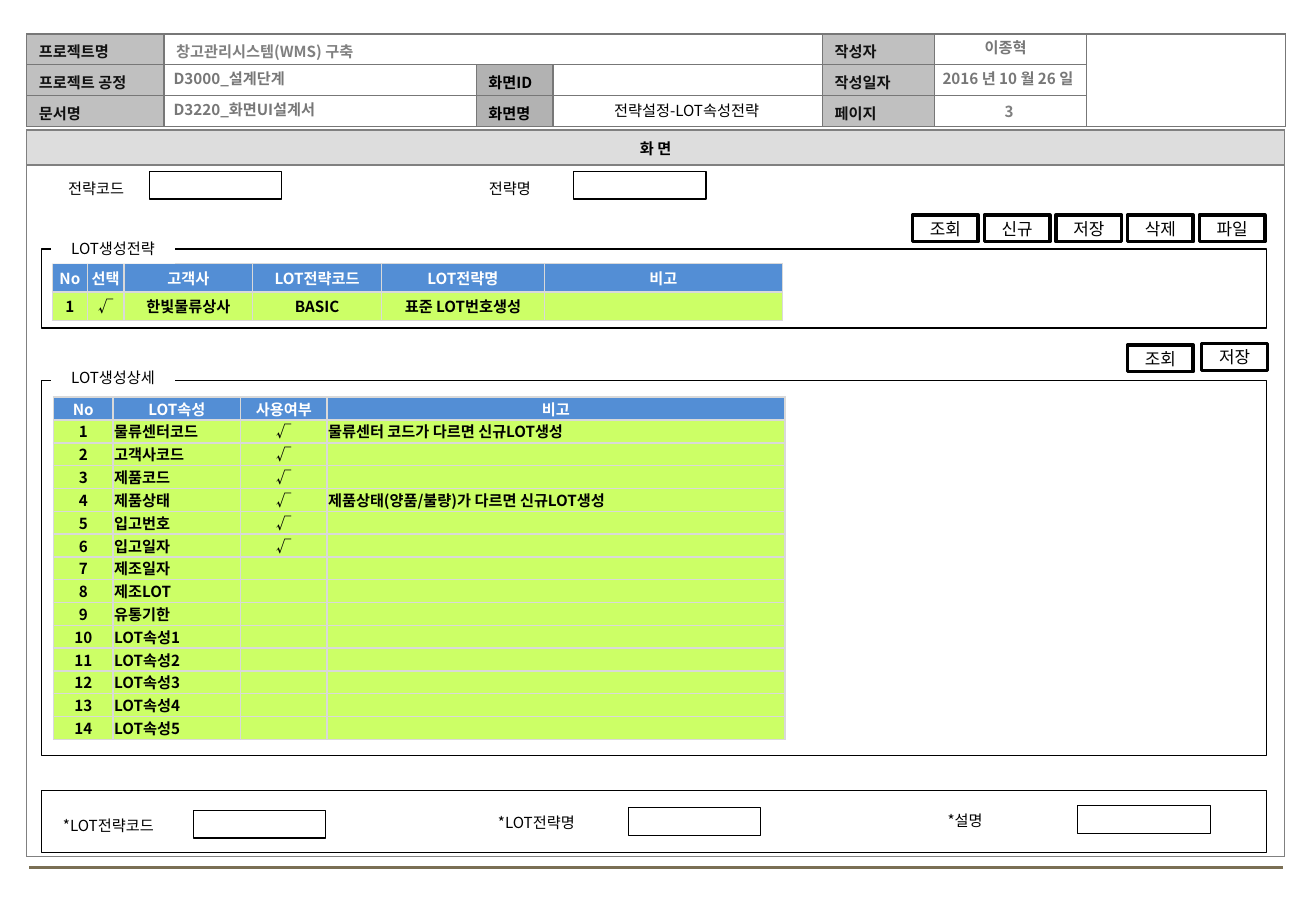
from lxml.etree import SubElement
from pptx import Presentation
from pptx.dml.color import RGBColor
from pptx.enum.shapes import MSO_CONNECTOR, MSO_SHAPE
from pptx.enum.text import MSO_ANCHOR as Anchor, MSO_AUTO_SIZE as AutoSize, PP_ALIGN as Align
from pptx.oxml.ns import qn
from pptx.util import Emu, Pt

EMU_PER_PX = 9144
FONT = "Noto Sans CJK KR"
BLACK, WHITE, GRAY = "000000", "FFFFFF", "777777"
LABEL_FILL, SCREEN_FILL = "C0C0C0", "B2B2B2"
HEAD_FILL, ROW_FILL, LIST_BORDER = "538ED5", "CCFF66", "D9D9D9"

HEADER_CELLS = [
    (0, 0, "프로젝트명", "111111", LABEL_FILL),
    (1, 0, "프로젝트 공정", "111111", LABEL_FILL),
    (2, 0, "문서명", "111111", LABEL_FILL),
    (0, 1, "창고관리시스템(WMS) 구축", "808080", None),
    (1, 2, "화면ID", BLACK, SCREEN_FILL),
    (2, 2, "화면명", BLACK, SCREEN_FILL),
    (0, 4, "작성자", "111111", LABEL_FILL),
    (1, 4, "작성일자", "111111", LABEL_FILL),
    (2, 4, "페이지", "111111", LABEL_FILL),
]
HEADER_VALUES = [
    ("D3000_설계단계", (133, 52, 542, 25), GRAY, Align.LEFT),
    ("D3220_화면UI설계서", (133, 78, 541, 25), GRAY, Align.LEFT),
    ("이종혁", (749, 27, 157, 25), GRAY, Align.CENTER),
    ("2016 년 10 월 26 일", (751, 52, 157, 25), GRAY, Align.CENTER),
    ("3", (768, 79, 125, 25), "7F7F7F", Align.CENTER),
]
STRATEGY_ROWS = [
    ("No", "선택", "고객사", "LOT전략코드", "LOT전략명", "비고"),
    ("1", "√", "한빛물류상사", "BASIC", "표준 LOT번호생성", ""),
]
ATTRIBUTES = ["물류센터코드", "고객사코드", "제품코드", "제품상태", "입고번호", "입고일자",
              "제조일자", "제조LOT", "유통기한"] + [f"LOT속성{n}" for n in range(1, 6)]
USED_COUNT = 6
REMARKS = {1: "물류센터 코드가 다르면 신규LOT생성", 4: "제품상태(양품/불량)가 다르면 신규LOT생성"}


def px(length):
    """Turn px into EMU."""
    return Emu(round(length * EMU_PER_PX))


def color(value):
    """Turn a hex string into a colour."""
    return RGBColor.from_string(value)


def paint(fill, value):
    """Fill with a colour, or with nothing."""
    if value:
        fill.solid()
        fill.fore_color.rgb = color(value)
    else:
        fill.background()


def write(frame, text, size=9, ink=BLACK, bold=False, align=Align.LEFT):
    """Write one formatted paragraph into a text frame."""
    paragraph = frame.paragraphs[0]
    paragraph.alignment = align
    if not text:
        SubElement(paragraph._p, qn("a:endParaRPr"), sz=str(size * 100))
        return
    run = paragraph.add_run()
    run.text = text
    run.font.size = Pt(size)
    run.font.bold = bold
    run.font.name = FONT
    run.font.color.rgb = color(ink)
    SubElement(run._r.get_or_add_rPr(), qn("a:ea"), typeface=FONT)


def add_text(slide, text, place, **style):
    """Add a wrapped text box."""
    frame = slide.shapes.add_textbox(*map(px, place)).text_frame
    frame.word_wrap = True
    write(frame, text, **style)


def add_box(slide, place, fill=None, line=BLACK, weight=0.75):
    """Add a plain rectangle."""
    shape = slide.shapes.add_shape(MSO_SHAPE.RECTANGLE, *map(px, place))
    shape.shadow.inherit = False
    paint(shape.fill, fill)
    paint(shape.line.fill, line)
    if line:
        shape.line.width = Pt(weight)
    return shape


def add_button(slide, text, left, top):
    """Add a thick-framed button."""
    frame = add_box(slide, (left, top, 54, 22), WHITE, weight=2).text_frame
    frame.margin_left = frame.margin_right = px(2)
    frame.margin_top = frame.margin_bottom = px(4)
    frame.word_wrap = False
    frame.vertical_anchor = Anchor.MIDDLE
    write(frame, text, size=10, align=Align.CENTER)


def add_section(slide, title, place, title_top):
    """Add a section frame with its title over the top edge."""
    add_box(slide, place)
    frame = add_box(slide, (42, title_top, 102, 25), WHITE, line=None).text_frame
    frame.vertical_anchor = Anchor.TOP
    write(frame, title, align=Align.CENTER)


def add_grid(slide, left, top, widths, heights):
    """Add an unstyled table and return it."""
    place = (left, top, sum(widths), sum(heights))
    table = slide.shapes.add_table(len(heights), len(widths), *map(px, place)).table
    table.first_row = table.horz_banding = False
    for column, width in zip(table.columns, widths):
        column.width = px(width)
    for row, height in zip(table.rows, heights):
        row.height = px(height)
    return table


def format_cell(cell, text="", fill=None, border=GRAY, margins=(0, 0, 0, 0), **style):
    """Set margins, borders, fill and text of a cell."""
    cell.margin_left, cell.margin_top, cell.margin_right, cell.margin_bottom = map(px, margins)
    cell.vertical_anchor = Anchor.MIDDLE
    properties = cell._tc.get_or_add_tcPr()
    for side in ("a:lnL", "a:lnR", "a:lnT", "a:lnB"):
        line = SubElement(properties, qn(side), w=str(Pt(1)))
        SubElement(SubElement(line, qn("a:solidFill")), qn("a:srgbClr"), val=border)
    paint(cell.fill, fill)
    write(cell.text_frame, text, bold=True, **style)


def add_list(slide, left, top, widths, height, rows, left_columns=()):
    """Add a list with a blue head and green rows."""
    table = add_grid(slide, left, top, widths, [height / len(rows)] * len(rows))
    for r, row in enumerate(rows):
        for c, text in enumerate(row):
            format_cell(table.cell(r, c), text, ROW_FILL if r else HEAD_FILL, LIST_BORDER,
                        margins=(1, 0, 1, 0), ink=BLACK if r else WHITE,
                        align=Align.LEFT if r and c in left_columns else Align.CENTER)


def add_header(slide):
    """Add the document header with its values."""
    table = add_grid(slide, 22, 28, [113, 257, 63, 222, 92, 125, 164], [76 / 3] * 3)
    table.cell(0, 1).merge(table.cell(0, 3))
    table.cell(0, 6).merge(table.cell(2, 6))
    labels = {(r, c): (text, ink, fill) for r, c, text, ink, fill in HEADER_CELLS}
    for r in range(3):
        for c in range(7):
            text, ink, fill = labels.get((r, c), ("", BLACK, None))
            format_cell(table.cell(r, c), text, fill, margins=(10, 4, 10, 1), ink=ink)
    for text, place, ink, align in HEADER_VALUES:
        add_text(slide, text, place, ink=ink, bold=True, align=align)


def add_screen_frame(slide):
    """Add the screen area and the line below it."""
    table = add_grid(slide, 22, 107, [1035], [29, 569])
    format_cell(table.cell(0, 0), "화 면", "DDDDDD", "808080", align=Align.CENTER)
    format_cell(table.cell(1, 0), border="808080")
    footer = slide.shapes.add_connector(MSO_CONNECTOR.STRAIGHT, px(24), px(714), px(1056), px(714))
    footer.line.color.rgb = color("7A6F54")
    footer.line.width = Pt(1.75)
    SubElement(footer._element.spPr, qn("a:effectLst"))


def format_title(title):
    """Place the screen name in the header."""
    title.left, title.top, title.width, title.height = map(px, (456, 78, 218, 25))
    frame = title.text_frame
    frame.auto_size = AutoSize.NONE
    frame.word_wrap = True
    frame.vertical_anchor = Anchor.TOP
    write(frame, "전략설정-LOT속성전략", align=Align.CENTER)


def main():
    """Build the screen design slide."""
    presentation = Presentation()
    presentation.slide_width, presentation.slide_height = px(1083), px(750)
    slide = presentation.slides.add_slide(presentation.slide_layouts[5])
    format_title(slide.shapes.title)
    add_header(slide)
    add_screen_frame(slide)

    for text, left, width, field_left in [("전략코드", 39, 80, 123), ("전략명", 367, 105, 472)]:
        add_text(slide, text, (left, 143, width, 25), align=Align.CENTER)
        add_box(slide, (field_left, 141, 109, 23), WHITE)

    add_list(slide, 43, 217, [29, 30, 106, 106, 134, 196], 47, STRATEGY_ROWS)
    add_section(slide, "LOT생성전략", (34, 205, 1008, 65), 192)
    for index, text in enumerate(["조회", "신규", "저장", "삭제", "파일"]):
        add_button(slide, text, 751 + index * 59, 177)

    add_section(slide, "LOT생성상세", (34, 313, 1008, 309), 298)
    details = [("No", "LOT속성", "사용여부", "비고")]
    for number, name in enumerate(ATTRIBUTES, 1):
        used = "√" if number <= USED_COUNT else ""
        details.append((str(number), name, used, REMARKS.get(number, "")))
    add_list(slide, 44, 327, [49, 105, 71, 377], 282, details, left_columns=(1, 3))
    add_button(slide, "조회", 928, 284)
    add_button(slide, "저장", 989, 283)

    add_box(slide, (34, 651, 1008, 51))
    for text, left, top in [("*LOT전략코드", 42, 667), ("*LOT전략명", 400, 665), ("*설명", 770, 663)]:
        add_text(slide, text, (left, top, 117, 25))
        add_box(slide, (left + 117, top, 109, 23))

    presentation.save("out.pptx")


if __name__ == "__main__":
    main()
